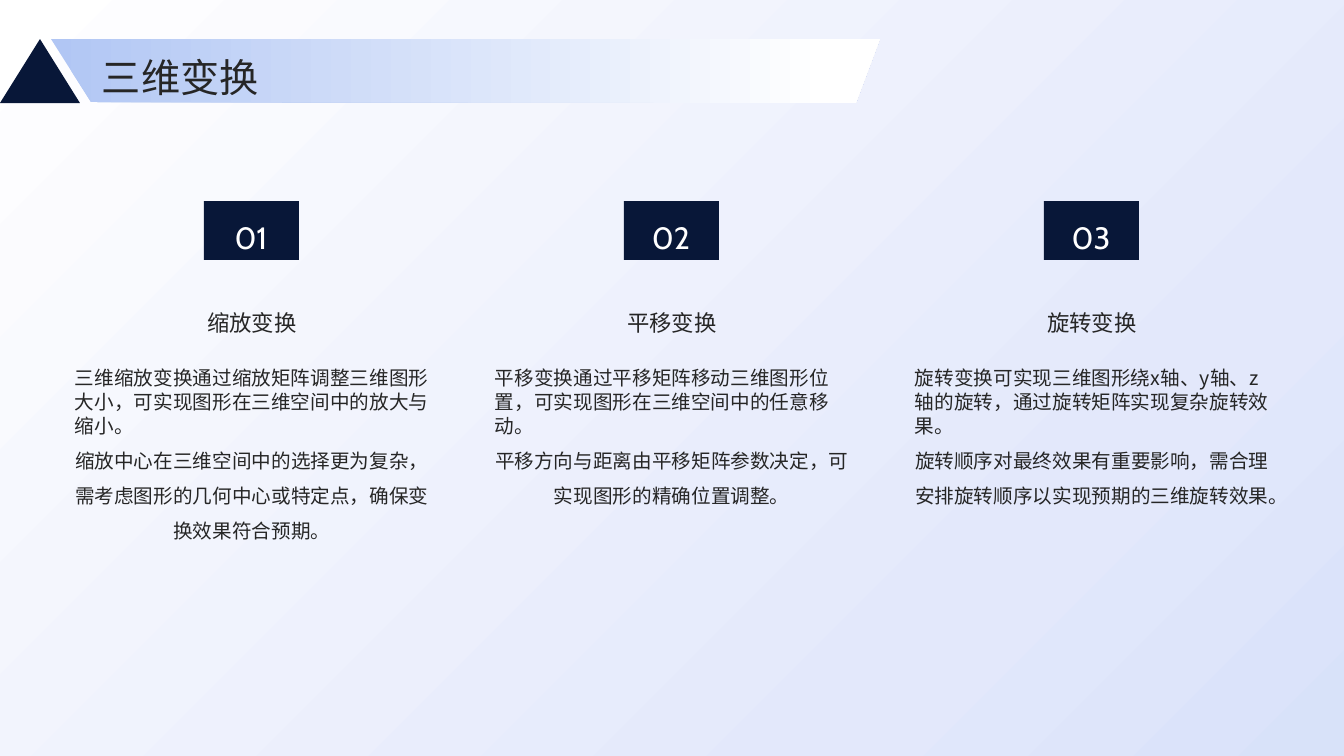
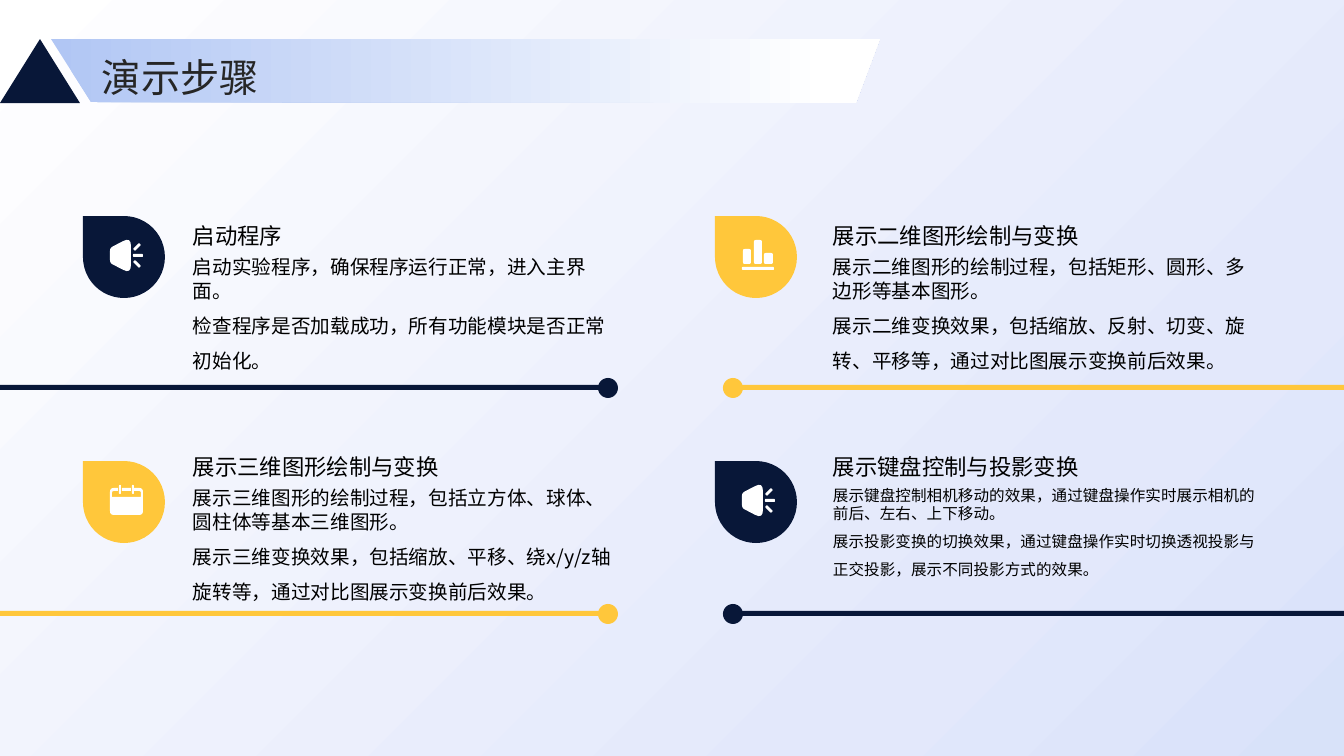
from dataclasses import dataclass

from lxml import etree
from pptx import Presentation
from pptx.dml.color import RGBColor
from pptx.enum.shapes import MSO_SHAPE
from pptx.enum.text import MSO_ANCHOR, PP_ALIGN
from pptx.oxml.ns import qn
from pptx.util import Emu, Pt

PX = 914400 / 100.8
WIDE, HIGH = 1344, 756
RECT, OVAL = MSO_SHAPE.RECTANGLE, MSO_SHAPE.OVAL
DROP, PEAK = MSO_SHAPE.TEAR, MSO_SHAPE.ISOSCELES_TRIANGLE
LEFT, MID = PP_ALIGN.LEFT, PP_ALIGN.CENTER
TOP, CORE, BASE = MSO_ANCHOR.TOP, MSO_ANCHOR.MIDDLE, MSO_ANCHOR.BOTTOM


@dataclass(frozen=True)
class Theme:
    navy: str = "081738"
    gold: str = "FFC73B"
    white: str = "FFFFFF"
    ink: str = "262626"
    black: str = "000000"
    page: tuple = ((0, "FFFFFF"), (75, "E3E8FB"), (100, "D8E2F9"))
    band: tuple = ((0, "B1C6F4"), (94, "FFFFFF"))
    sans: str = "Noto Sans CJK SC"
    digit: str = "Cabin"
    title: float = 28
    num: float = 22
    head: float = 16
    body: float = 14
    small: float = 11.1


def px(n):
    return Emu(round(n * PX))


def block(x, y, right, low, cut):
    """Corners of a box, each with the length its rounding takes off."""
    return [(x, y, cut), (right, y, cut), (right, low, cut), (x, low, cut)]


def curve(points):
    """Outline with each corner (x, y, cut) rounded by a short curve."""
    out = []
    for i, (x, y, cut) in enumerate(points):
        if not cut:
            out.append((x, y))
            continue
        ends = []
        for a, b, _ in (points[i - 1], points[(i + 1) % len(points)]):
            part = cut / ((a - x) ** 2 + (b - y) ** 2) ** 0.5
            ends.append((x + (a - x) * part, y + (b - y) * part))
        (ax, ay), (bx, by) = ends
        for t in (0, 0.25, 0.5, 0.75, 1):
            u = 1 - t
            out.append((u * u * ax + 2 * u * t * x + t * t * bx,
                        u * u * ay + 2 * u * t * y + t * t * by))
    return out


HORN = [
    [(0, 8, 3), (21, -3, 9), (21, 34, 9), (0, 23, 3)],
    [(23, 9, 1), (29, 3, 1), (31, 5, 1), (25, 11, 1)],
    block(23, 14, 33, 17, 1),
    [(25, 20, 1), (31, 26, 1), (29, 28, 1), (23, 22, 1)],
]
BARS = [
    block(0, 27, 32, 30, 1),
    block(1, 9, 9, 24, 2),
    block(12, 0, 20, 24, 2),
    block(22, 13, 31, 24, 2),
]
DATES = [
    [(33, 3, 4), (24, 3, 0), (24, 6, 0), (31, 6, 2), (31, 12, 0), (2, 12, 0),
     (2, 6, 2), (8, 6, 0), (8, 3, 0), (0, 3, 4), (0, 30, 4), (33, 30, 4)],
    block(12, 3, 21, 6, 0),
    block(9, 0, 11, 9, 1),
    block(22, 0, 24, 9, 1),
]


class Deck:
    def __init__(self, theme):
        self.theme = theme
        self.file = Presentation()
        self.file.slide_width, self.file.slide_height = px(WIDE), px(HIGH)
        self.slide = None

    def paint(self, shape, fill, angle=0):
        """Fill with one colour, or with (percent, colour) stops."""
        shape.shadow.inherit = False
        shape.line.fill.background()
        if isinstance(fill, str):
            shape.fill.solid()
            shape.fill.fore_color.rgb = RGBColor.from_string(fill)
            return
        shape.fill.gradient()
        shape.fill.gradient_angle = angle
        stops = next(shape.element.iter(qn("a:gsLst")))
        for old in list(stops):
            stops.remove(old)
        for at, color in fill:
            stop = etree.SubElement(stops, qn("a:gs"), pos=str(at * 1000))
            etree.SubElement(stop, qn("a:srgbClr"), val=color)

    def shape(self, kind, x, y, w, h, fill, angle=0):
        item = self.slide.shapes.add_shape(kind, px(x), px(y), px(w), px(h))
        self.paint(item, fill, angle)
        return item

    def free(self, x, y, parts, fill):
        """Draw closed outlines as one shape, with its origin at x, y."""
        pen = None
        for part in parts:
            dots = [((x + a) * 100, (y + b) * 100) for a, b in curve(part)]
            if pen is None:
                pen = self.slide.shapes.build_freeform(*dots[0], scale=PX / 100)
            else:
                pen.move_to(*dots[0])
            pen.add_line_segments(dots[1:], close=True)
        self.paint(pen.convert_to_shape(), fill)

    def text(self, x, y, w, h, paras, size, color, anchor=TOP, font=None):
        """Write paragraphs given as (text, align, line spacing)."""
        box = self.slide.shapes.add_textbox(px(x), px(y), px(w), px(h))
        frame = box.text_frame
        frame.word_wrap = True
        frame.vertical_anchor = anchor
        frame.margin_left = frame.margin_right = 0
        frame.margin_top = frame.margin_bottom = 0
        for i, (words, align, space) in enumerate(paras):
            para = frame.paragraphs[0] if i == 0 else frame.add_paragraph()
            para.alignment = align
            para.line_spacing = space
            props = para._p.get_or_add_pPr()
            props.set("hangingPunct", "1" if i else "0")
            run = para.add_run()
            run.text = words
            run.font.size = Pt(size)
            run.font.color.rgb = RGBColor.from_string(color)
            run.font.name = font or self.theme.sans
            etree.SubElement(run._r.get_or_add_rPr(), qn("a:ea"),
                             typeface=font or self.theme.sans)

    def head(self, x, y, w, h, words, color, align, anchor):
        self.text(x, y, w, h, [(words, align, Pt(28))], self.theme.head,
                  color, anchor)

    def body(self, x, y, w, h, lead, more, color, align=LEFT, size=None):
        """Tight lead paragraph, then a looser one."""
        size = size or self.theme.body
        paras = [(lead, LEFT, Pt(round(size * 1.2))),
                 (more, align, Pt(round(size * 1.79)))]
        self.text(x, y, w, h, paras, size, color)

    def page(self, title):
        look = self.theme
        self.slide = self.file.slides.add_slide(self.file.slide_layouts[6])
        self.shape(RECT, 0, 0, WIDE, HIGH, look.page, 315)
        self.shape(PEAK, 0, 39, 80, 64, look.navy)
        band = [(0, 0, 0), (829, 0, 0), (805, 64, 0), (40, 63, 0)]
        self.free(51, 39, [band], look.band)
        self.text(102, 45, 1161, 51, [(title, LEFT, Pt(42))], look.title,
                  look.ink, CORE)

    def column(self, x, num, name, lead, more):
        look = self.theme
        self.shape(RECT, x + 129, 201, 95, 59, look.navy)
        self.text(x + 141, 214, 70, 36, [(num, MID, 1.3)], look.num,
                  look.white, CORE, look.digit)
        self.head(x, 272, 354, 89, name, look.ink, MID, CORE)
        self.body(x, 366, 354, 230, lead, more, look.ink, MID)

    def step(self, col, row, color, icon, name, lead, more, size=None):
        look = self.theme
        x, left = (83, 715)[col], (193, 833)[col]
        y = 216 + 245 * row
        self.shape(DROP, x, y, 82, 82, color).rotation = 270
        self.free(x + 27, y + 24, icon, look.white)
        top = 174 + 231 * row
        self.head(left, top, 423, 75, name, look.black, LEFT, BASE)
        self.body(left, top + 81, 423, 119, lead, more, look.black, size=size)
        rule = 385 + 226 * row
        self.shape(RECT, 736 * col, rule, 608, 5, color)
        self.shape(OVAL, (598, 723)[col], rule - 7, 20, 20, color)


def main():
    look = Theme()
    deck = Deck(look)

    deck.page("三维变换")
    columns = [
        ("缩放变换",
         "三维缩放变换通过缩放矩阵调整三维图形大小，可实现图形在三维空间中的放大与缩小。",
         "缩放中心在三维空间中的选择更为复杂，需考虑图形的几何中心或特定点，确保变换效果符合预期。"),
        ("平移变换",
         "平移变换通过平移矩阵移动三维图形位置，可实现图形在三维空间中的任意移动。",
         "平移方向与距离由平移矩阵参数决定，可实现图形的精确位置调整。"),
        ("旋转变换",
         "旋转变换可实现三维图形绕x轴、y轴、z轴的旋转，通过旋转矩阵实现复杂旋转效果。",
         "旋转顺序对最终效果有重要影响，需合理安排旋转顺序以实现预期的三维旋转效果。"),
    ]
    for i, words in enumerate(columns):
        deck.column(75 + 420 * i, f"{i + 1:02}", *words)

    deck.page("演示步骤")
    steps = [
        (look.navy, HORN, "启动程序",
         "启动实验程序，确保程序运行正常，进入主界面。",
         "检查程序是否加载成功，所有功能模块是否正常初始化。"),
        (look.gold, BARS, "展示二维图形绘制与变换",
         "展示二维图形的绘制过程，包括矩形、圆形、多边形等基本图形。",
         "展示二维变换效果，包括缩放、反射、切变、旋转、平移等，通过对比图展示变换前后效果。"),
        (look.gold, DATES, "展示三维图形绘制与变换",
         "展示三维图形的绘制过程，包括立方体、球体、圆柱体等基本三维图形。",
         "展示三维变换效果，包括缩放、平移、绕x/y/z轴旋转等，通过对比图展示变换前后效果。"),
        (look.navy, HORN, "展示键盘控制与投影变换",
         "展示键盘控制相机移动的效果，通过键盘操作实时展示相机的前后、左右、上下移动。",
         "展示投影变换的切换效果，通过键盘操作实时切换透视投影与正交投影，展示不同投影方式的效果。",
         look.small),
    ]
    for i, parts in enumerate(steps):
        deck.step(i % 2, i // 2, *parts)

    deck.file.save("out.pptx")


if __name__ == "__main__":
    main()
